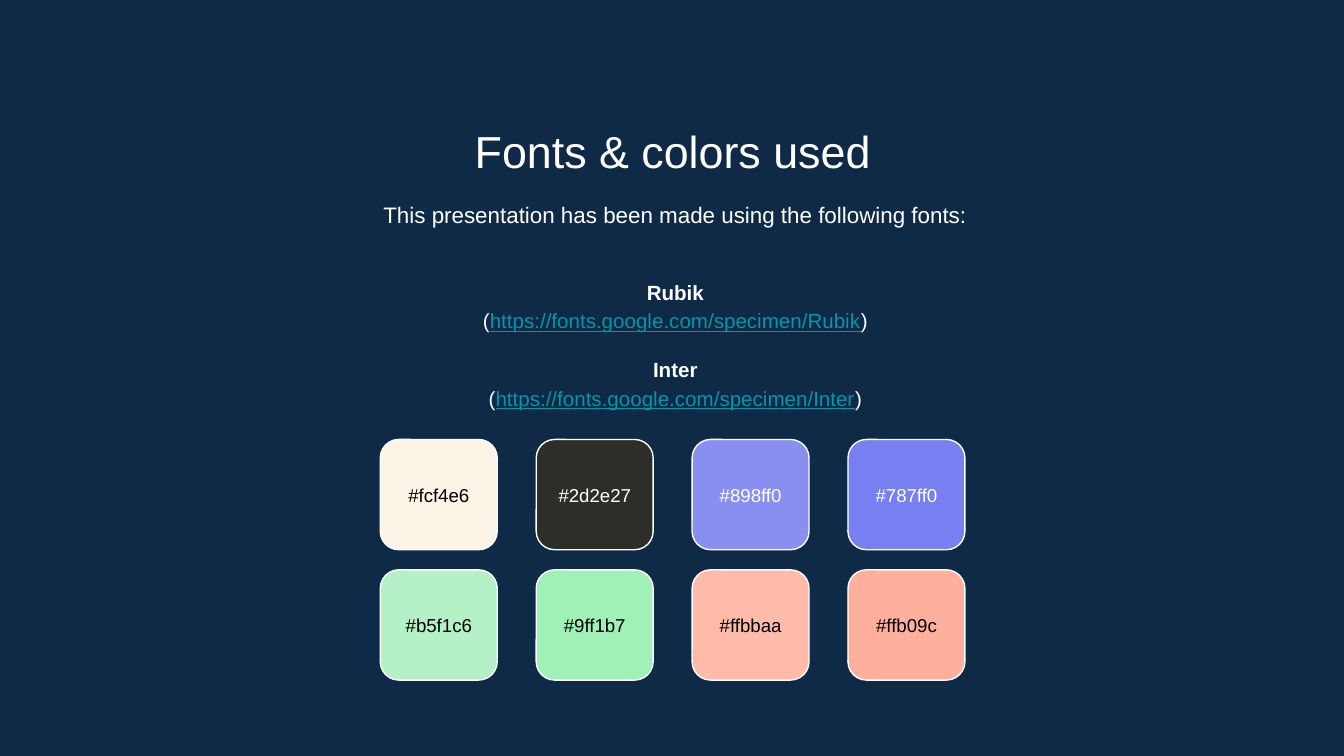
from pptx import Presentation
from pptx import util as u
from pptx.dml import color
from pptx.enum import shapes, text

COLORS = {
    "navy": "0E2A47",
    "white": "FFFFFF",
    "black": "000000",
    "link": "0097A7",
}
FONT = "Arial"
SWATCHES = [
    [("#fcf4e6", "black"), ("#2d2e27", "white"), ("#898ff0", "white"), ("#787ff0", "white")],
    [("#b5f1c6", "black"), ("#9ff1b7", "black"), ("#ffbbaa", "black"), ("#ffb09c", "black")],
]
FONT_SOURCES = [
    ("Rubik", "https://fonts.google.com/specimen/Rubik"),
    ("Inter", "https://fonts.google.com/specimen/Inter"),
]


def rgb(value):
    return color.RGBColor.from_string(value)


def add_span(para, words, size=11, ink="white", bold=False, underline=False):
    span = para.add_run()
    span.text = words
    span.font.name = FONT
    span.font.size = u.Pt(size)
    span.font.bold = bold
    span.font.underline = underline
    span.font.color.rgb = rgb(COLORS[ink])


def prepare_frame(frame, anchor=text.MSO_ANCHOR.TOP):
    frame.word_wrap = True
    frame.auto_size = text.MSO_AUTO_SIZE.NONE
    frame.vertical_anchor = anchor
    frame.margin_left = frame.margin_right = u.Inches(0.1)
    frame.margin_top = frame.margin_bottom = u.Inches(0.1)


def add_frame(page, left, top, width, height, anchor=text.MSO_ANCHOR.TOP):
    box = page.shapes.add_textbox(*map(u.Inches, (left, top, width, height)))
    prepare_frame(box.text_frame, anchor)
    return box.text_frame


def center_para(para, spacing=1.0):
    para.alignment = text.PP_ALIGN.CENTER
    para.line_spacing = spacing
    return para


def add_title(page, left, top, width, height):
    title = page.shapes.title
    title.left, title.top = u.Inches(left), u.Inches(top)
    title.width, title.height = u.Inches(width), u.Inches(height)
    prepare_frame(title.text_frame)
    add_span(center_para(title.text_frame.paragraphs[0]), "Fonts & colors used", size=24)


def add_intro(page, left, top, width, height):
    frame = add_frame(page, left, top, width, height)
    para = center_para(frame.paragraphs[0], spacing=1.15)
    add_span(para, "This presentation has been made using the following fonts:", size=12)


def add_font_list(page, left, top, width, height):
    frame = add_frame(page, left, top, width, height, anchor=text.MSO_ANCHOR.MIDDLE)
    for index, (name, address) in enumerate(FONT_SOURCES):
        para = frame.add_paragraph() if index else frame.paragraphs[0]
        center_para(para, spacing=1.15)
        if index:
            para.space_before = u.Pt(11)
        add_span(para, name, bold=True)
        para = center_para(frame.add_paragraph(), spacing=1.15)
        add_span(para, "(")
        add_span(para, address, ink="link", underline=True)
        add_span(para, ")")


def add_swatch(page, left, top, width, height, code, ink):
    swatch = page.shapes.add_shape(
        shapes.MSO_SHAPE.ROUNDED_RECTANGLE, *map(u.Inches, (left, top, width, height))
    )
    swatch.adjustments[0] = 0.167
    swatch.shadow.inherit = False
    swatch.fill.solid()
    swatch.fill.fore_color.rgb = rgb(code[1:].upper())
    swatch.line.color.rgb = rgb(COLORS["white"])
    swatch.line.width = u.Pt(0.75)
    label_height = 0.48
    label = add_frame(page, left, top + (height - label_height) / 2, width, label_height,
                      anchor=text.MSO_ANCHOR.MIDDLE)
    add_span(center_para(label.paragraphs[0]), code, size=10, ink=ink)


def add_palette(page, left, top, width, height):
    swatch_width, swatch_height = 0.87, 0.82
    step_x = (width - swatch_width) / (len(SWATCHES[0]) - 1)
    step_y = (height - swatch_height) / (len(SWATCHES) - 1)
    for row, codes in enumerate(SWATCHES):
        for column, (code, ink) in enumerate(codes):
            add_swatch(page, left + column * step_x, top + row * step_y,
                       swatch_width, swatch_height, code, ink)


def main():
    deck = Presentation()
    deck.slide_width = u.Inches(10)
    deck.slide_height = u.Inches(10 * 9 / 16)
    page = deck.slides.add_slide(deck.slide_layouts[5])
    page.background.fill.solid()
    page.background.fill.fore_color.rgb = rgb(COLORS["navy"])
    add_title(page, 1.15, 0.82, 7.71, 0.53)
    add_intro(page, 1.17, 1.37, 7.71, 0.48)
    add_font_list(page, 1.17, 1.87, 7.71, 1.37)
    add_palette(page, 2.83, 3.27, 4.35, 1.79)
    deck.save("out.pptx")


if __name__ == "__main__":
    main()
